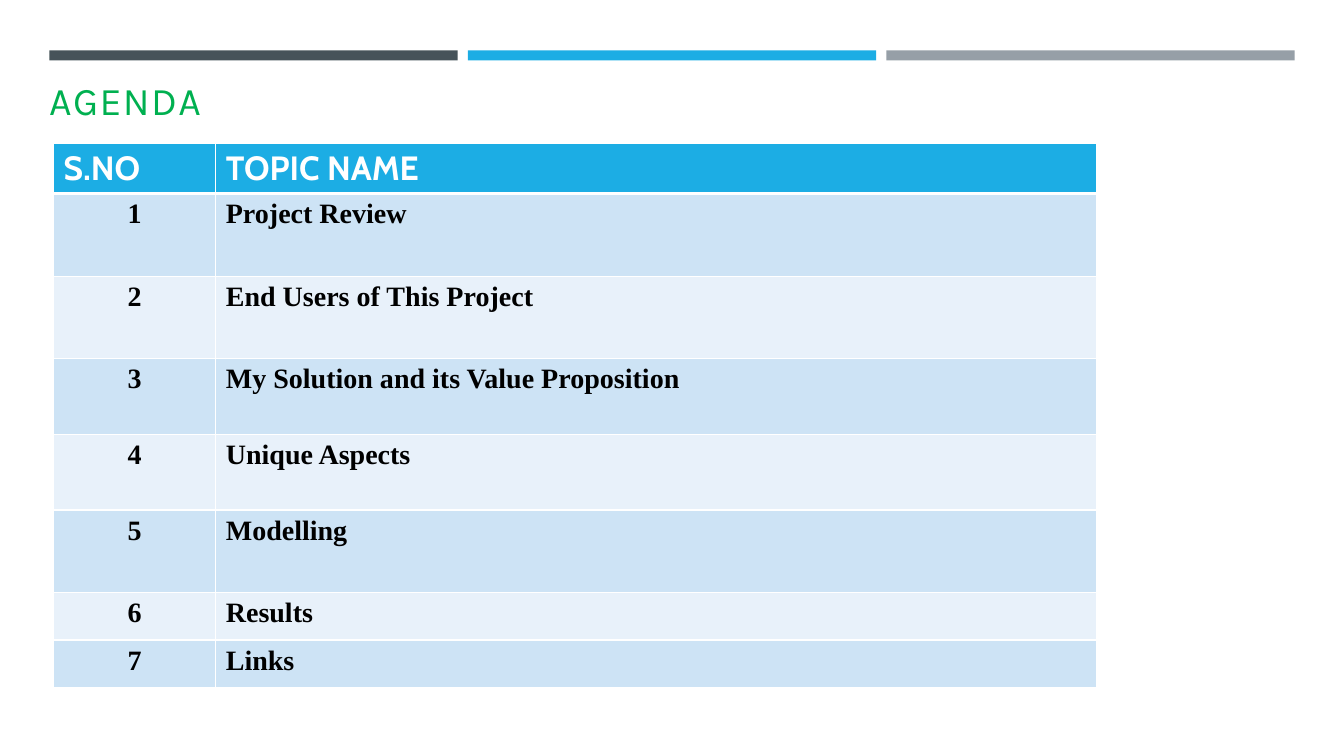
from pptx import Presentation
from pptx.dml.color import RGBColor
from pptx.enum.shapes import MSO_SHAPE
from pptx.enum.text import MSO_ANCHOR, PP_ALIGN
from pptx.oxml.ns import qn
from pptx.util import Inches, Pt
from lxml import etree

RECTANGLE = MSO_SHAPE.RECTANGLE
MIDDLE = MSO_ANCHOR.MIDDLE
LEFT, CENTER = PP_ALIGN.LEFT, PP_ALIGN.CENTER

COLORS = {
    "slate": "465359", "blue": "1CADE4", "gray": "969FA7",
    "green": "00B050", "white": "FFFFFF", "black": "000000",
    "band_dark": "CDE3F5", "band_light": "E8F1FA",
}
TITLE = {"name": "Karla", "size": Pt(28), "color": "green"}
HEADER = {"name": "Cabin", "size": Pt(24), "bold": True, "color": "white"}
BODY = {"name": "Times New Roman", "size": Pt(20), "bold": True, "color": "black"}

TOPICS = [
    "Project Review", "End Users of This Project",
    "My Solution and its Value Proposition", "Unique Aspects",
    "Modelling", "Results", "Links",
]
ROW_HEIGHTS = [0.49, 0.82, 0.82, 0.75, 0.75, 0.82, 0.47, 0.47]
COLUMN_WIDTHS = [1.61, 8.74]


class AgendaSlide:
    def __init__(self, slide):
        self.slide = slide

    def color(self, name):
        return RGBColor.from_string(COLORS[name])

    def fill(self, target, name):
        target.fill.solid()
        target.fill.fore_color.rgb = self.color(name)

    def add_text(self, frame, text, style, align=LEFT):
        paragraph = frame.paragraphs[0]
        paragraph.alignment = align
        run = paragraph.add_run()
        run.text = text
        for key, value in style.items():
            if key == "color":
                run.font.color.rgb = self.color(value)
            else:
                setattr(run.font, key, value)
        return run

    def bar(self, left, top, width, height, color):
        bar = self.slide.shapes.add_shape(
            RECTANGLE, Inches(left), Inches(top), Inches(width), Inches(height))
        bar.shadow.inherit = False
        self.fill(bar, color)
        bar.line.fill.background()

    def title(self, left, top, width, height, text):
        box = self.slide.shapes.add_textbox(
            Inches(left), Inches(top), Inches(width), Inches(height))
        frame = box.text_frame
        frame.word_wrap = True
        frame.vertical_anchor = MIDDLE
        run = self.add_text(frame, text, TITLE)
        run._r.get_or_add_rPr().set("spc", "100")

    def borders(self, cell, bottom):
        properties = cell._tc.get_or_add_tcPr()
        widths = {"a:lnL": 1, "a:lnR": 1, "a:lnT": 1, "a:lnB": bottom}
        for position, (tag, width) in enumerate(widths.items()):
            line = etree.Element(qn(tag), w=str(Pt(width)))
            solid = etree.SubElement(line, qn("a:solidFill"))
            etree.SubElement(solid, qn("a:srgbClr"), val=COLORS["white"])
            properties.insert(position, line)

    def table(self, left, top, column_widths, row_heights, rows):
        table = self.slide.shapes.add_table(
            len(rows), len(column_widths), Inches(left), Inches(top),
            Inches(sum(column_widths)), Inches(sum(row_heights))).table
        for column, width in zip(table.columns, column_widths):
            column.width = Inches(width)
        for row, height in zip(table.rows, row_heights):
            row.height = Inches(height)
        for number, texts in enumerate(rows):
            is_header = number == 0
            band = "band_dark" if number % 2 else "band_light"
            for column, text in enumerate(texts):
                cell = table.cell(number, column)
                centered = column == 0 and not is_header
                self.add_text(cell.text_frame, text, HEADER if is_header else BODY,
                              CENTER if centered else LEFT)
                self.fill(cell, "blue" if is_header else band)
                self.borders(cell, bottom=3 if is_header else 1)


presentation = Presentation()
presentation.slide_width = Inches(13.33)
presentation.slide_height = Inches(7.5)
agenda = AgendaSlide(presentation.slides.add_slide(presentation.slide_layouts[6]))

for index, accent in enumerate(["slate", "blue", "gray"]):
    agenda.bar(0.49 + index * 4.15, 0.5, 4.05, 0.1, accent)
agenda.title(0.39, 0.34, 12.06, 1.3, "AGENDA")
topic_rows = [(str(number), topic) for number, topic in enumerate(TOPICS, 1)]
agenda.table(0.53, 1.42, COLUMN_WIDTHS, ROW_HEIGHTS,
             [("S.NO", "TOPIC NAME"), *topic_rows])

presentation.save("out.pptx")
